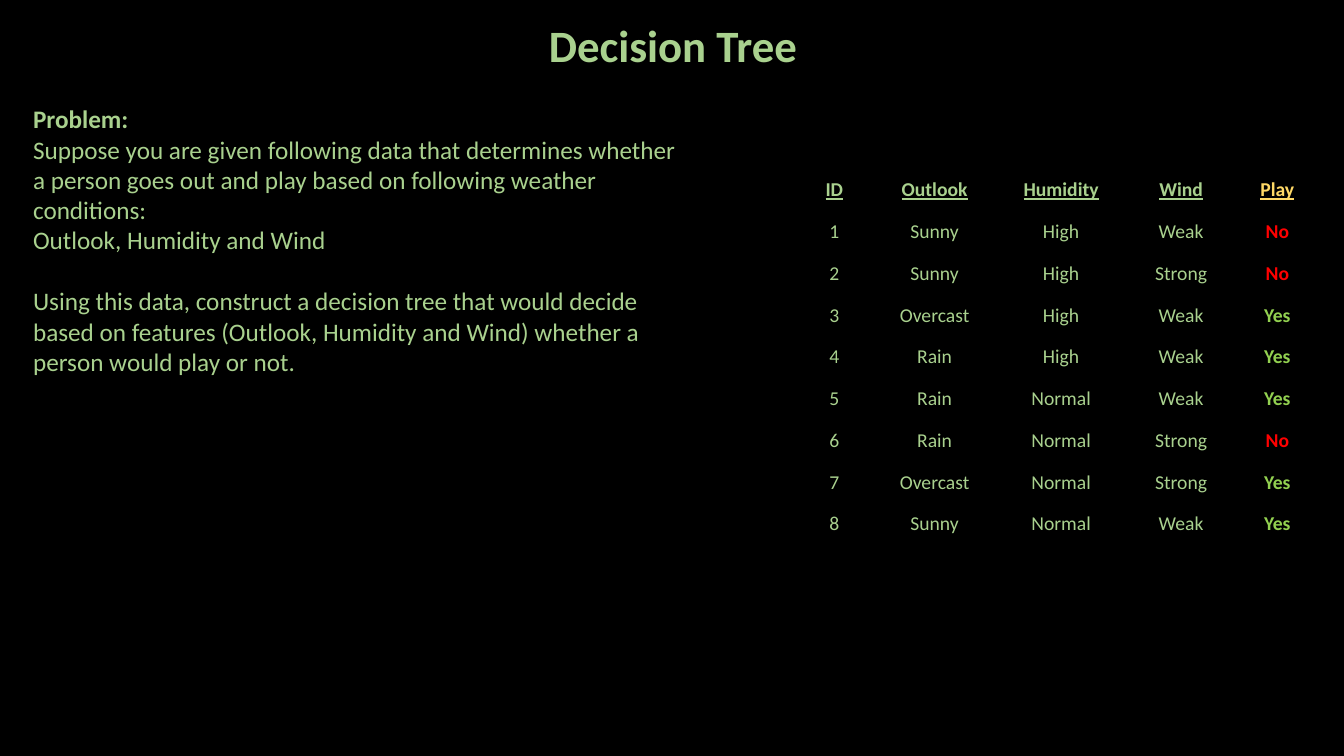
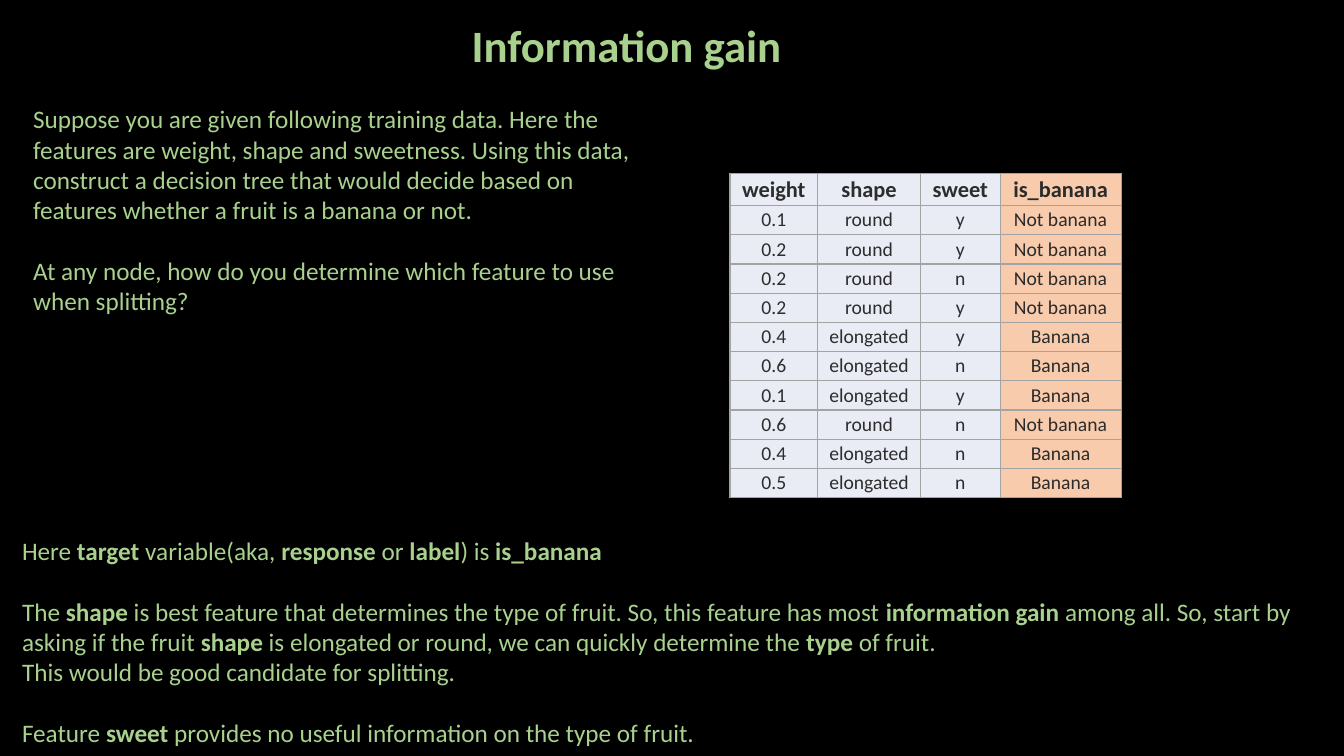
from lxml.etree import SubElement
from pptx import Presentation
from pptx.dml.color import RGBColor
from pptx.enum.text import MSO_ANCHOR, PP_ALIGN
from pptx.oxml.ns import qn
from pptx.util import Inches, Pt

FONT = "Calibri"
BLACK, GREEN, GOLD = "000000", "A9D18E", "FFD966"
RED, LIME = "FF0000", "92D050"
INK, TARGET_INK, GRID = "2D2D2D", "2B2B2B", "A3A3A3"
LAVENDER, PEACH = "E9EBF5", "F8CBAD"
NO_STYLE = "{2D5ABB26-0587-4C30-8999-92F81FD0307C}"
BODY_SIZE = 18
BLOCK_GAP = 22

PROBLEM = [
    ["**Problem:**",
     "Suppose you are given following data that determines whether a person goes out "
     "and play based on following weather conditions:",
     "Outlook, Humidity and Wind"],
    ["Using this data, construct a decision tree that would decide based on features "
     "(Outlook, Humidity and Wind) whether a person would play or not."],
]
WEATHER = [
    ("ID", "Outlook", "Humidity", "Wind", "Play"),
    ("1", "Sunny", "High", "Weak", "No"),
    ("2", "Sunny", "High", "Strong", "No"),
    ("3", "Overcast", "High", "Weak", "Yes"),
    ("4", "Rain", "High", "Weak", "Yes"),
    ("5", "Rain", "Normal", "Weak", "Yes"),
    ("6", "Rain", "Normal", "Strong", "No"),
    ("7", "Overcast", "Normal", "Strong", "Yes"),
    ("8", "Sunny", "Normal", "Weak", "Yes"),
]
PLAY_COLORS = {"Play": GOLD, "No": RED, "Yes": LIME}

QUESTION = [
    ["Suppose you are given following training data. Here the features are weight, "
     "shape and sweetness. Using this data, construct a decision tree that would "
     "decide based on features whether a fruit is a banana or not."],
    ["At any node, how do you determine which feature to use when splitting?"],
]
ANSWER = [
    ["Here **target** variable(aka, **response** or **label**) is **is_banana**"],
    ["The **shape** is best feature that determines the type of fruit. So, this feature "
     "has most **information gain** among all. So, start by asking if the fruit "
     "**shape **is elongated or round, we can quickly determine the **type** of fruit.",
     "This would be good candidate for splitting."],
    ["Feature **sweet** provides no useful information on the type of fruit."],
]
FRUIT = [
    ("weight", "shape", "sweet", "is_banana"),
    ("0.1", "round", "y", "Not banana"),
    ("0.2", "round", "y", "Not banana"),
    ("0.2", "round", "n", "Not banana"),
    ("0.2", "round", "y", "Not banana"),
    ("0.4", "elongated", "y", "Banana"),
    ("0.6", "elongated", "n", "Banana"),
    ("0.1", "elongated", "y", "Banana"),
    ("0.6", "round", "n", "Not banana"),
    ("0.4", "elongated", "n", "Banana"),
    ("0.5", "elongated", "n", "Banana"),
]


def rgb(color):
    return RGBColor.from_string(color)


def add_run(p, text, size, color=GREEN, bold=False, underline=False):
    r = p.add_run()
    r.text = text
    r.font.name, r.font.size = FONT, Pt(size)
    r.font.bold, r.font.underline = bold, underline
    r.font.color.rgb = rgb(color)


def add_text(s, box, blocks, size=BODY_SIZE, align=PP_ALIGN.LEFT):
    tf = s.shapes.add_textbox(*map(Inches, box)).text_frame
    tf.word_wrap = True
    for b, lines in enumerate(blocks):
        for n, line in enumerate(lines):
            first = b == n == 0
            p = tf.paragraphs[0] if first else tf.add_paragraph()
            p.alignment = align
            if b and n == 0:
                p.space_before = Pt(BLOCK_GAP)
            for i, part in enumerate(line.split("**")):
                if part:
                    add_run(p, part, size, bold=i % 2 == 1)


def add_slide(prs, title, title_left):
    s = prs.slides.add_slide(prs.slide_layouts[6])
    add_text(s, (title_left, 0.13, 6.77, 0.64), [[f"**{title}**"]], 32, PP_ALIGN.CENTER)
    return s


def add_grid(s, left, top, widths, heights, rows, style_cell):
    frame = s.shapes.add_table(len(rows), len(widths), Inches(left), Inches(top),
                               Inches(sum(widths)), Inches(sum(heights)))
    table = frame.table
    table.first_row = table.horz_banding = False
    for style in frame.element.iter(qn("a:tableStyleId")):
        style.text = NO_STYLE
    for column, width in zip(table.columns, widths):
        column.width = Inches(width)
    for i, (values, height) in enumerate(zip(rows, heights)):
        table.rows[i].height = Inches(height)
        for j, value in enumerate(values):
            cell = table.cell(i, j)
            cell.vertical_anchor = MSO_ANCHOR.MIDDLE
            p = cell.text_frame.paragraphs[0]
            p.alignment = PP_ALIGN.CENTER
            add_run(p, value, **style_cell(cell, i == 0, j == len(values) - 1, value))
    return frame


def weather_cell(cell, header, target, value):
    cell.fill.background()
    return dict(size=14, color=PLAY_COLORS[value] if target else GREEN,
                bold=header or target, underline=header)


def fruit_cell(cell, header, target, value):
    cell.margin_left = cell.margin_right = Inches(0.04)
    cell.margin_top = cell.margin_bottom = Inches(0.02)
    cell.fill.solid()
    cell.fill.fore_color.rgb = rgb(PEACH if target else LAVENDER)
    return dict(size=16 if header else 14, color=TARGET_INK if target else INK, bold=header)


def add_borders(frame, color, width):
    for props in frame.element.iter(qn("a:tcPr")):
        for i, side in enumerate(("lnL", "lnR", "lnT", "lnB")):
            ln = SubElement(props, qn(f"a:{side}"), w=str(Pt(width)))
            SubElement(SubElement(ln, qn("a:solidFill")), qn("a:srgbClr"), val=color)
            props.insert(i, ln)


def main():
    prs = Presentation()
    prs.slide_width, prs.slide_height = Inches(13.33), Inches(7.5)
    fill = prs.slide_master.background.fill
    fill.solid()
    fill.fore_color.rgb = rgb(BLACK)

    s = add_slide(prs, "Decision Tree", 3.29)
    add_text(s, (0.23, 0.98, 6.66, 2.83), PROBLEM)
    add_grid(s, 7.88, 1.68, (0.79, 1.2, 1.31, 1.07, 0.84),
             [3.73 / len(WEATHER)] * len(WEATHER), WEATHER, weather_cell)

    s = add_slide(prs, "Information gain", 2.83)
    add_text(s, (0.23, 0.98, 6.34, 2.52), QUESTION)
    add_text(s, (0.12, 5.26, 12.78, 2.22), ANSWER)
    frame = add_grid(s, 7.24, 1.72, (0.87, 1.02, 0.79, 1.2),
                     [0.32] + [0.29] * (len(FRUIT) - 1), FRUIT, fruit_cell)
    add_borders(frame, GRID, 1)

    prs.save("out.pptx")


if __name__ == "__main__":
    main()
